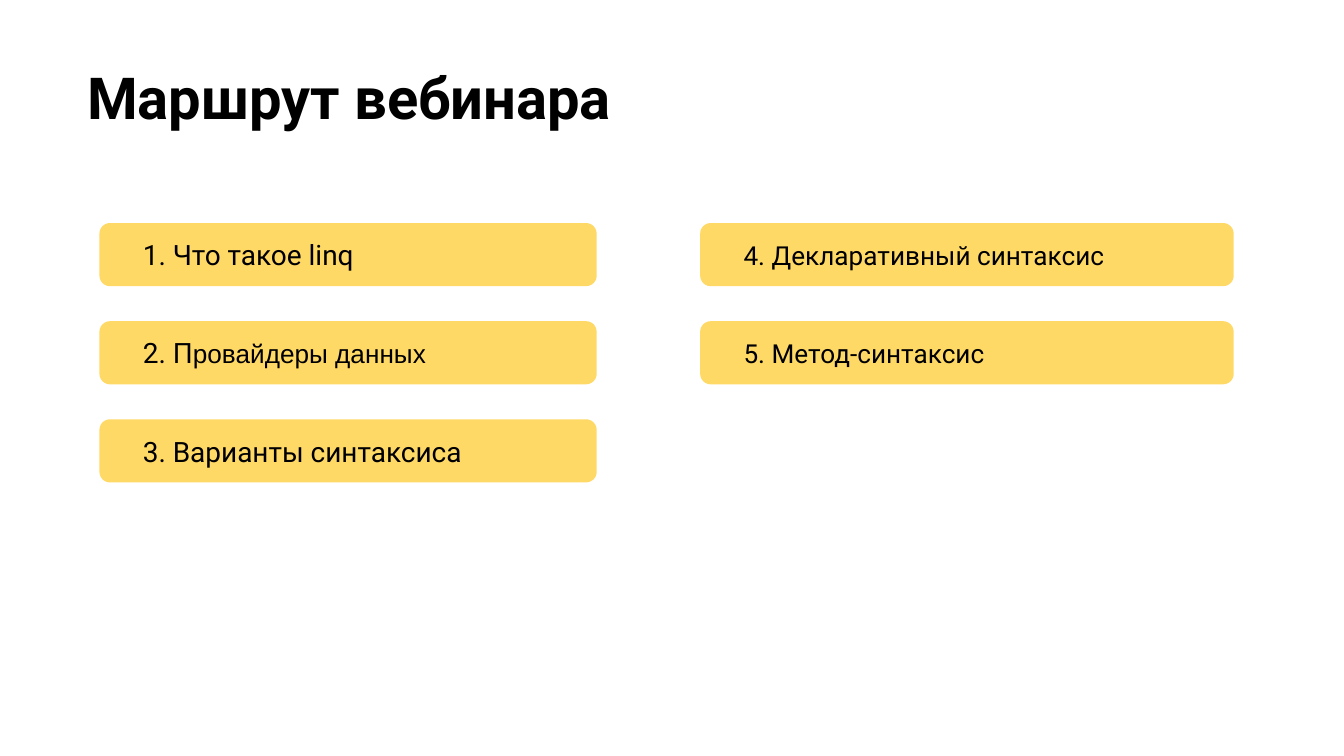
import pptx
import pptx.util
import pptx.dml.color
import pptx.enum.shapes
import pptx.enum.text

Inches = pptx.util.Inches
Pt = pptx.util.Pt
BLACK = pptx.dml.color.RGBColor(0x00, 0x00, 0x00)
YELLOW = pptx.dml.color.RGBColor(0xFF, 0xD9, 0x66)

SLIDE_WIDTH = 10
TOP, STEP, HEIGHT = 1.66, 0.73, 0.47
COLUMNS = [
    (0.74, 3.7, [
        [("1. Что такое linq", 15, "Roboto")],
        [("2. П", 15, "Roboto"), ("ровайдеры данных", 14, "Arial")],
        [("3. Варианты синтаксиса", 15, "Roboto")],
    ]),
    (5.21, 3.97, [
        [("4. Декларативный синтаксис", 14, "Roboto")],
        [("5. Метод-синтаксис", 14, "Roboto")],
    ]),
]


def set_text(sp, runs, anchor, side_inset, bold=False):
    tf = sp.text_frame
    frame_format = {
        "word_wrap": True,
        "vertical_anchor": anchor,
        "margin_left": Inches(side_inset),
        "margin_right": Inches(side_inset),
        "margin_top": Inches(0.1),
        "margin_bottom": Inches(0.1),
    }
    for name, value in frame_format.items():
        setattr(tf, name, value)
    p = tf.paragraphs[0]
    p.alignment = pptx.enum.text.PP_ALIGN.LEFT
    for text, size, font in runs:
        r = p.add_run()
        r.text = text
        r.font.color.rgb = BLACK
        for name, value in {"name": font, "size": Pt(size), "bold": bold}.items():
            setattr(r.font, name, value)


def add_title(s, text):
    sp = s.shapes.add_textbox(Inches(0.55), Inches(0.36), Inches(9.32), Inches(1.07))
    set_text(sp, [(text, 31, "Roboto")], pptx.enum.text.MSO_ANCHOR.TOP, 0.1, bold=True)


def add_topic(s, left, top, width, runs):
    sp = s.shapes.add_shape(
        pptx.enum.shapes.MSO_SHAPE.ROUNDED_RECTANGLE,
        Inches(left), Inches(top), Inches(width), Inches(HEIGHT),
    )
    sp.shadow.inherit = False
    sp.fill.solid()
    sp.fill.fore_color.rgb = YELLOW
    sp.line.fill.background()
    set_text(sp, runs, pptx.enum.text.MSO_ANCHOR.MIDDLE, 0.3)


def main():
    prs = pptx.Presentation()
    prs.slide_width = Inches(SLIDE_WIDTH)
    prs.slide_height = Inches(SLIDE_WIDTH * 9 / 16)
    s = prs.slides.add_slide(prs.slide_layouts[6])
    add_title(s, "Маршрут вебинара")
    for left, width, topics in COLUMNS:
        for row, runs in enumerate(topics):
            add_topic(s, left, TOP + row * STEP, width, runs)
    prs.save("out.pptx")


if __name__ == "__main__":
    main()
